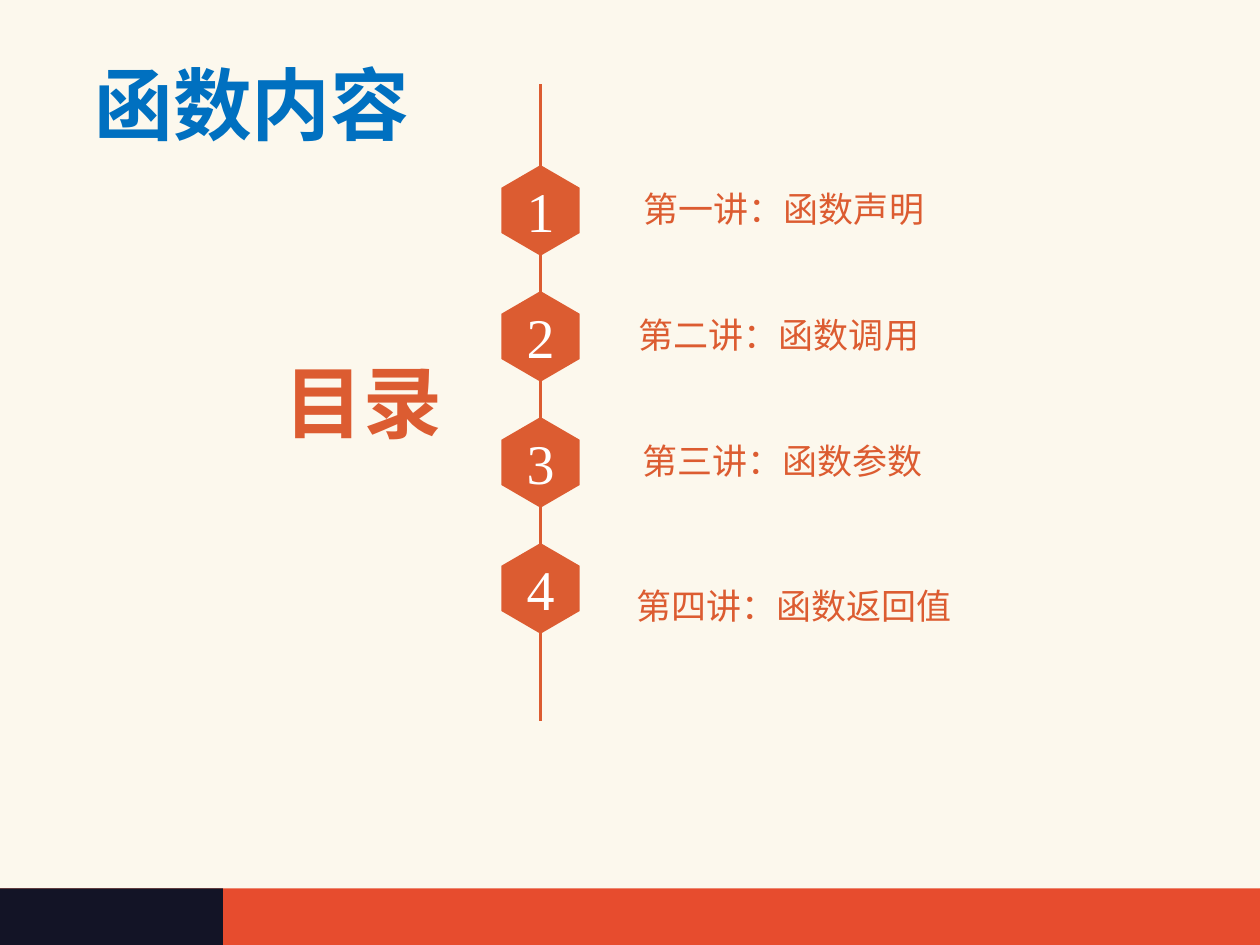
from lxml import etree
from pptx import Presentation
from pptx.dml.color import RGBColor
from pptx.enum.shapes import MSO_CONNECTOR, MSO_SHAPE
from pptx.enum.text import MSO_ANCHOR, MSO_AUTO_SIZE, PP_ALIGN
from pptx.oxml.ns import qn
from pptx.util import Inches, Pt

STRAIGHT = MSO_CONNECTOR.STRAIGHT
RECTANGLE = MSO_SHAPE.RECTANGLE
MIDDLE = MSO_ANCHOR.MIDDLE
FIT_SHAPE = MSO_AUTO_SIZE.SHAPE_TO_FIT_TEXT
CENTER = PP_ALIGN.CENTER

CREAM = RGBColor(0xFC, 0xF8, 0xED)
RED = RGBColor(0xE7, 0x4C, 0x2E)
NAVY = RGBColor(0x13, 0x14, 0x26)
ORANGE = RGBColor(0xDC, 0x5C, 0x31)
BLUE = RGBColor(0x00, 0x70, 0xC0)
WHITE = RGBColor(0xFF, 0xFF, 0xFF)

COLUMNS, ROWS = 10, 7.5
CHINESE_FONT = "Noto Sans CJK SC"
NUMBER_FONT = "Times New Roman"

FOOTER_TOP = 7.05
AXIS = 4.29
FIRST_CENTER = 1.67
STEP = 1
LECTURES = [
    ("第一讲：函数声明", 5.01, 1.44, 2.45),
    ("第二讲：函数调用", 4.97, 2.44, 2.45),
    ("第三讲：函数参数", 5, 3.44, 2.45),
    ("第四讲：函数返回值", 4.95, 4.59, 2.73),
]


class Canvas:
    def __init__(self, presentation):
        self.slide = presentation.slides.add_slide(presentation.slide_layouts[6])
        self.column = presentation.slide_width / COLUMNS
        self.row = presentation.slide_height / ROWS

    def place(self, *lengths):
        units = (self.column, self.row) * 2
        return [round(length * unit) for length, unit in zip(lengths, units)]

    def paint(self, shape, color):
        shape.shadow.inherit = False
        shape.fill.solid()
        shape.fill.fore_color.rgb = color
        shape.line.fill.background()

    def set_text(self, shape, text, size, color, font_name, bold=False):
        paragraph = shape.text_frame.paragraphs[0]
        paragraph.text = text
        font = paragraph.font
        font.name, font.size, font.bold = font_name, Pt(size), bold
        font.color.rgb = color
        latin = font._element.find(qn("a:latin"))
        east_asian = etree.Element(qn("a:ea"), typeface=font_name)
        latin.addnext(east_asian)
        return paragraph

    def band(self, left, top, width, height, color):
        shape = self.slide.shapes.add_shape(RECTANGLE, *self.place(left, top, width, height))
        self.paint(shape, color)

    def vertical_line(self, x, top, bottom):
        line = self.slide.shapes.add_connector(STRAIGHT, *self.place(x, top, x, bottom))
        line.line.color.rgb = ORANGE
        line.line.width = Pt(1.5)
        etree.SubElement(line._element.spPr, qn("a:effectLst"))

    def label(self, text, left, top, width, height, size, color, bold=False):
        box = self.slide.shapes.add_textbox(*self.place(left, top, width, height))
        box.text_frame.word_wrap = False
        box.text_frame.auto_size = FIT_SHAPE
        self.set_text(box, text, size, color, CHINESE_FONT, bold)

    def hexagon(self, text, x, y, half_width=0.31, half_height=0.36, half_side=0.18):
        outline = [
            (0, -half_height), (half_width, -half_side), (half_width, half_side),
            (0, half_height), (-half_width, half_side), (-half_width, -half_side),
        ]
        points = [self.place(x + dx, y + dy) for dx, dy in outline]
        builder = self.slide.shapes.build_freeform(*points[0])
        builder.add_line_segments(points[1:], close=True)
        shape = builder.convert_to_shape()
        self.paint(shape, ORANGE)
        shape.text_frame.vertical_anchor = MIDDLE
        paragraph = self.set_text(shape, text, 32, WHITE, NUMBER_FONT)
        paragraph.alignment = CENTER


def main():
    presentation = Presentation()
    presentation.slide_width = Inches(10)
    presentation.slide_height = Inches(7.5)
    canvas = Canvas(presentation)

    canvas.band(0, 0, COLUMNS, ROWS, CREAM)
    for width, color in ((COLUMNS, RED), (1.77, NAVY)):
        canvas.band(0, FOOTER_TOP, width, ROWS - FOOTER_TOP, color)

    canvas.vertical_line(AXIS, 0.67, 5.72)
    for index, (text, left, top, width) in enumerate(LECTURES):
        canvas.label(text, left, top, width, 0.44, 20, ORANGE)
        canvas.hexagon(str(index + 1), AXIS, FIRST_CENTER + index * STEP)

    canvas.label("目录", 2.16, 2.76, 1.47, 0.86, 45, ORANGE, bold=True)
    canvas.label("函数内容", 0.65, 0.39, 2.7, 0.9, 45, BLUE, bold=True)

    presentation.save("out.pptx")


if __name__ == "__main__":
    main()
